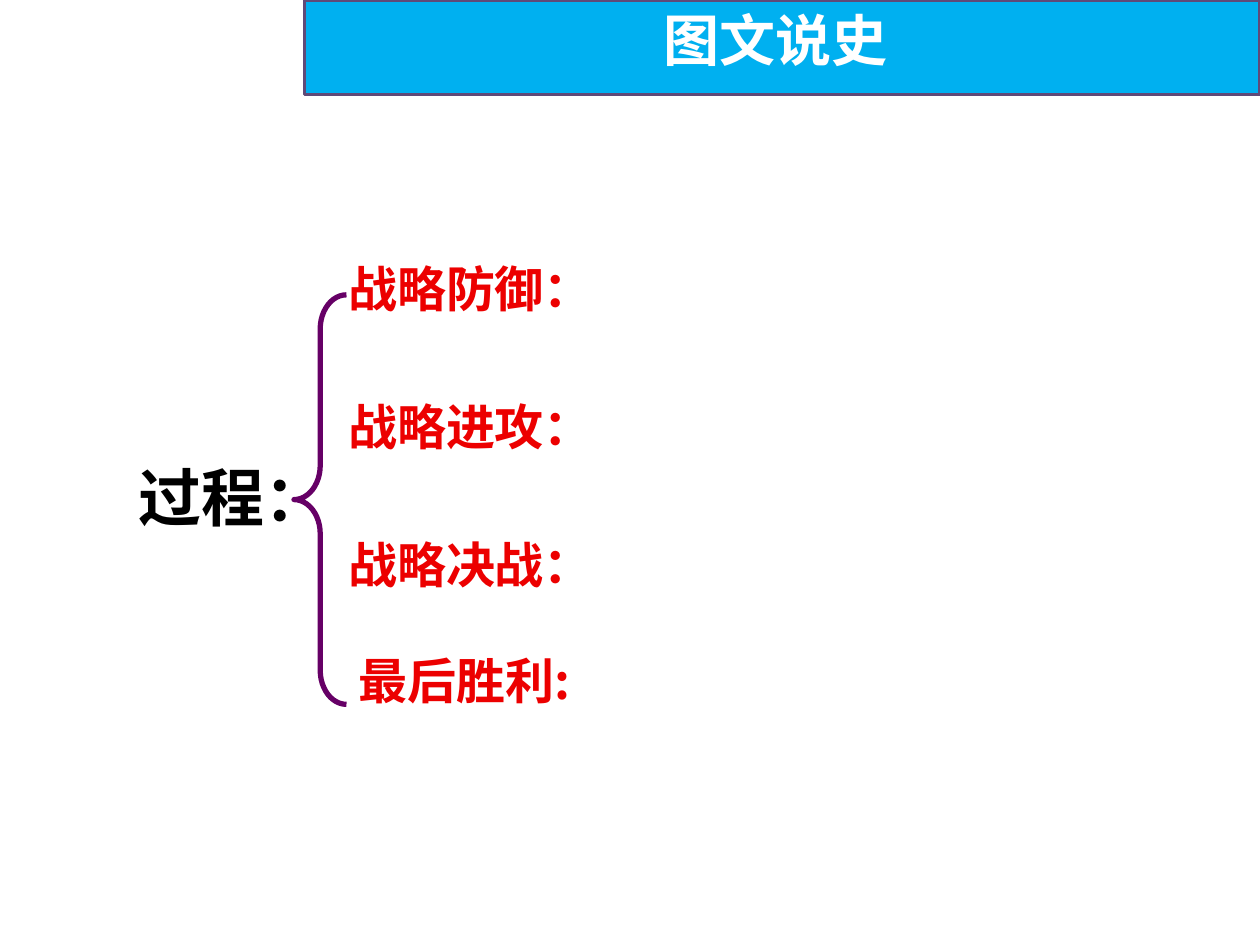
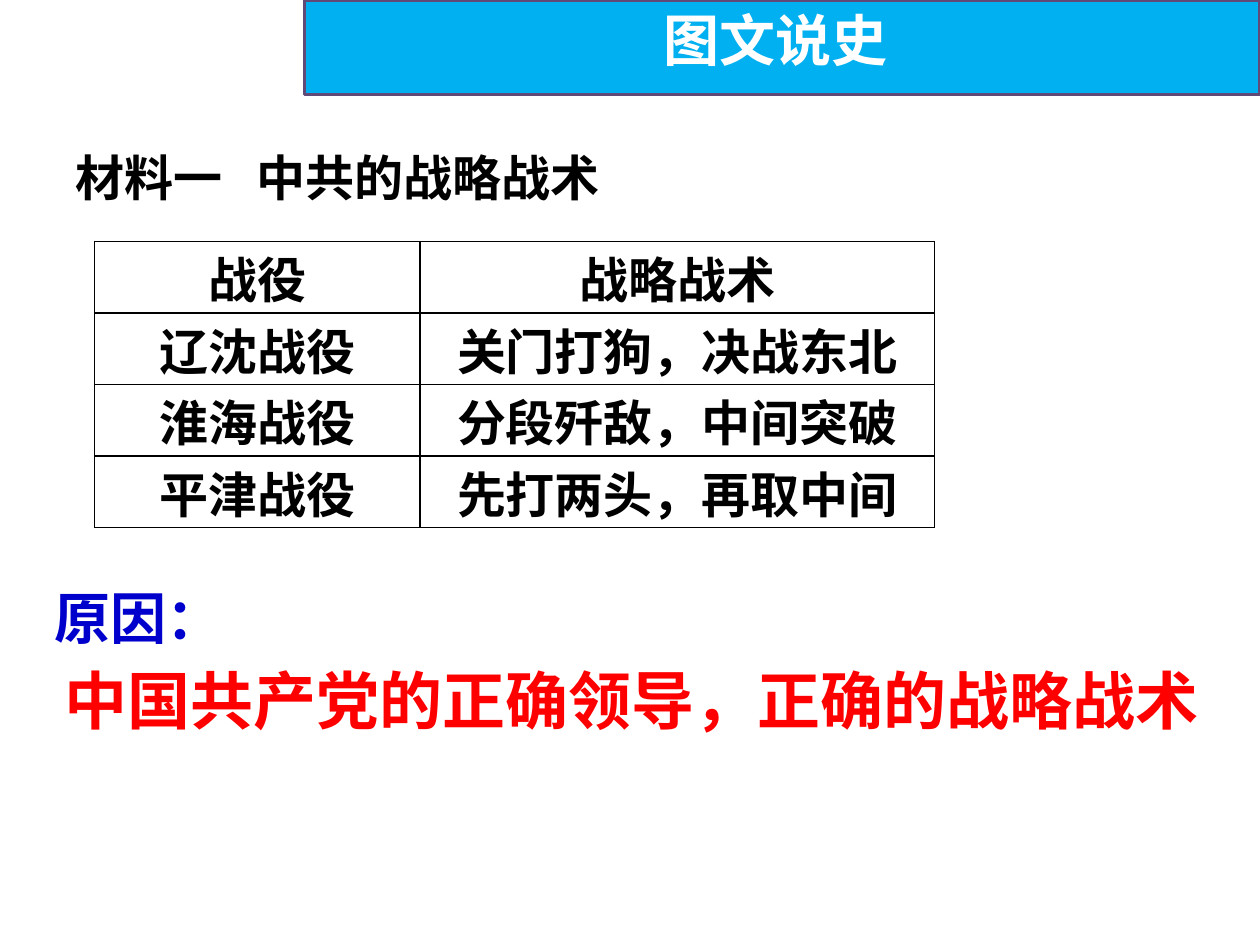
"""Build two history slides on the course, tactics and causes of a war."""
from dataclasses import dataclass

from lxml.etree import SubElement
from pptx import Presentation
from pptx.dml.color import RGBColor
from pptx.enum.shapes import MSO_SHAPE
from pptx.enum.text import MSO_ANCHOR, PP_ALIGN
from pptx.oxml.ns import qn
from pptx.util import Pt

HUES = {
    "band": "00B0F0", "edge": "5F4A78", "white": "FFFFFF", "black": "000000",
    "stage": "EC0000", "brace": "660066", "blue": "0000CC", "red": "FF0000",
}
SANS = "Noto Sans CJK SC"
LATIN = "Calibri"


@dataclass
class Label:
    text: str
    left: float
    top: float
    width: float
    height: float
    size: int
    hue: str
    face: str = LATIN


HEAD = Label("图文说史", 372, 3, 223, 38, 32, "white", SANS)
COURSE = Label("过程：", 72, 262, 126, 51, 36, "black")
STAGES = Label("战略防御：\n战略进攻：\n战略决战：", 185.5, 144.5, 534.5, 248.5,
               28, "stage", SANS)
FINAL = Label("最后胜利:", 198, 371.5, 144, 41, 28, "stage", SANS)
SOURCE = Label("材料一\t中共的战略战术", 36, 84.5, 402, 41, 28, "black")
CAUSES = [
    Label("原因：", 24, 333.5, 112, 46, 32, "blue"),
    Label("中国共产党的正确领导，正确的战略战术", 30, 378, 670, 51, 36, "red", SANS),
]
TACTICS = [
    ("战役", "战略战术"),
    ("辽沈战役", "关门打狗，决战东北"),
    ("淮海战役", "分段歼敌，中间突破"),
    ("平津战役", "先打两头，再取中间"),
]


def tint(name: str) -> RGBColor:
    """Return the named colour."""
    return RGBColor.from_string(HUES[name])


def style(frame, size: int, hue: str, face: str) -> None:
    """Format every run of a text frame in bold."""
    for para in frame.paragraphs:
        for run in para.runs:
            font = run.font
            font.size, font.bold, font.name = Pt(size), True, face
            font.color.rgb = tint(hue)
            SubElement(run._r.get_or_add_rPr(), qn("a:ea"), typeface=SANS)


def write(shape, label: Label):
    """Place a label in a shape and return its text frame."""
    shape.left, shape.top = Pt(label.left), Pt(label.top)
    shape.width, shape.height = Pt(label.width), Pt(label.height)
    frame = shape.text_frame
    frame.text = label.text
    frame.word_wrap = True
    frame.vertical_anchor = MSO_ANCHOR.TOP
    frame.margin_left = frame.margin_right = Pt(7.2)
    frame.margin_top = frame.margin_bottom = Pt(0)
    for para in frame.paragraphs:
        para.alignment = PP_ALIGN.LEFT
    style(frame, label.size, label.hue, label.face)
    return frame


def add_label(slide, label: Label):
    """Add a text box for a label."""
    box = slide.shapes.add_textbox(0, 0, 0, 0)
    write(box, label)
    return box


def add_page(deck):
    """Add a slide with its title over the shared band."""
    slide = deck.slides.add_slide(deck.slide_layouts[5])
    band = slide.shapes.add_shape(MSO_SHAPE.RECTANGLE, Pt(174), 0, Pt(546), Pt(54))
    band.shadow.inherit = False
    band.fill.solid()
    band.fill.fore_color.rgb = tint("band")
    band.line.color.rgb = tint("edge")
    band.line.width = Pt(2)
    title = slide.shapes.title
    write(title, HEAD)
    band.element.addnext(title.element)
    return slide


def add_stages(slide) -> None:
    """Add the evenly spaced list of stages on a white panel."""
    panel = add_label(slide, STAGES)
    panel.fill.solid()
    panel.fill.fore_color.rgb = tint("white")
    frame = panel.text_frame
    frame.margin_left, frame.margin_top = Pt(13.5), Pt(5.8)
    for spot, para in enumerate(frame.paragraphs):
        para.line_spacing = Pt(31)
        para.space_before = Pt(47.9 if spot else 0)


def add_brace(slide) -> None:
    """Add the brace that gathers the stages."""
    brace = slide.shapes.add_shape(
        MSO_SHAPE.LEFT_BRACE, Pt(168), Pt(168.5), Pt(30), Pt(234))
    brace.shadow.inherit = False
    brace.adjustments[0] = 0.65
    brace.fill.background()
    brace.line.color.rgb = tint("brace")
    brace.line.width = Pt(3)


def rule(cell) -> None:
    """Draw a thin black border on all sides of a cell."""
    props = cell._tc.get_or_add_tcPr()
    for side in ("lnL", "lnR", "lnT", "lnB"):
        line = SubElement(props, qn(f"a:{side}"), w=str(Pt(1)))
        fill = SubElement(line, qn("a:solidFill"))
        SubElement(fill, qn("a:srgbClr"), val=HUES["black"])


def add_grid(slide) -> None:
    """Add the table of campaigns and tactics."""
    high = 40.9
    table = slide.shapes.add_table(
        len(TACTICS), 2, Pt(54), Pt(138), Pt(480), Pt(high * len(TACTICS))).table
    table.first_row = table.horz_banding = False
    for col, width in zip(table.columns, (186, 294)):
        col.width = Pt(width)
    for row, texts in zip(table.rows, TACTICS):
        row.height = Pt(high)
        for cell, text in zip(row.cells, texts):
            cell.text_frame.text = text
            cell.text_frame.paragraphs[0].alignment = PP_ALIGN.CENTER
            cell.margin_top = cell.margin_bottom = Pt(0)
            cell.vertical_anchor = MSO_ANCHOR.BOTTOM
            style(cell.text_frame, 28, "black", LATIN)
            rule(cell)
            cell.fill.background()


def add_source(slide) -> None:
    """Add the source heading with a tab between its parts."""
    box = add_label(slide, SOURCE)
    props = box.text_frame.paragraphs[0]._p.get_or_add_pPr()
    tabs = SubElement(props, qn("a:tabLst"))
    SubElement(tabs, qn("a:tab"), pos=str(Pt(103.5)), algn="l")


def main() -> None:
    """Build and save the deck."""
    deck = Presentation()
    deck.slide_width, deck.slide_height = Pt(720), Pt(540)

    course = add_page(deck)
    add_label(course, COURSE)
    add_stages(course)
    add_brace(course)
    add_label(course, FINAL)

    tactics = add_page(deck)
    add_source(tactics)
    add_grid(tactics)
    for cause in CAUSES:
        add_label(tactics, cause)

    deck.save("out.pptx")


if __name__ == "__main__":
    main()
